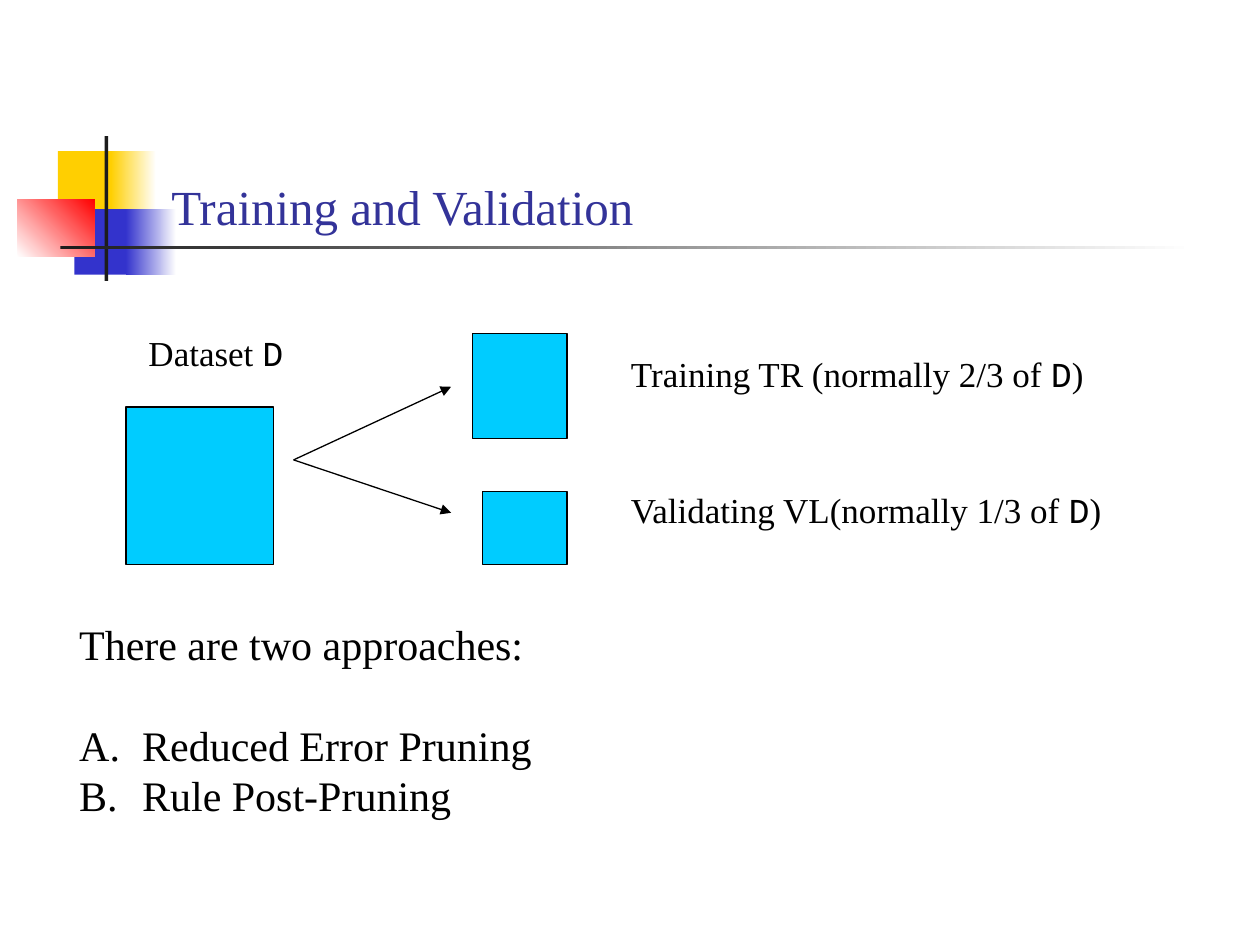
from lxml import etree
from pptx import Presentation, util as u
from pptx.dml.color import RGBColor
from pptx.enum import shapes, text
from pptx.oxml.ns import qn

SERIF, MONO = "Times New Roman", "Courier New"
BLACK, WHITE, DARK = "000000", "FFFFFF", "1C1C1C"
YELLOW, BLUE, RED, CYAN = "FFCF01", "3333CC", "FF0000", "00CCFF"


def color(value):
    """Return the colour for a hex string."""
    return RGBColor.from_string(value)


def inches(*values):
    """Turn numbers into lengths in inches."""
    return [u.Inches(value) for value in values]


def set_attributes(target, values):
    """Set every attribute named in a dict."""
    for name, value in values.items():
        setattr(target, name, value)


def set_outline(line):
    """Give a line the thin black stroke."""
    line.color.rgb = color(BLACK)
    line.width = u.Pt(0.75)


def add_box(slide, box, fill, fill_end=None, angle=0, outlined=False):
    """Add a rectangle with a plain or two-colour gradient fill."""
    shape = slide.shapes.add_shape(shapes.MSO_SHAPE.RECTANGLE, *inches(*box))
    shape.shadow.inherit = False
    if fill_end:
        shape.fill.gradient()
        shape.fill.gradient_angle = angle
        for stop, value in zip(shape.fill.gradient_stops, (fill, fill_end)):
            stop.color.rgb = color(value)
    else:
        shape.fill.solid()
        shape.fill.fore_color.rgb = color(fill)
    if outlined:
        set_outline(shape.line)
    else:
        shape.line.fill.background()


def add_run(paragraph, words, size, font=SERIF, value=BLACK):
    """Add a formatted run to a paragraph."""
    run = paragraph.add_run()
    run.text = words
    set_attributes(run.font, {"size": u.Pt(size), "name": font})
    run.font.color.rgb = color(value)


def add_text_frame(slide, box):
    """Add an unwrapped text box and return its frame."""
    frame = slide.shapes.add_textbox(*inches(*box)).text_frame
    set_attributes(frame, {"word_wrap": False,
                           "auto_size": text.MSO_AUTO_SIZE.SHAPE_TO_FIT_TEXT})
    return frame


def add_label(slide, box, before, after=""):
    """Add a caption around the monospaced dataset symbol."""
    paragraph = add_text_frame(slide, box).paragraphs[0]
    add_run(paragraph, before, 20)
    add_run(paragraph, "D", 20, MONO)
    if after:
        add_run(paragraph, after, 20)


def add_arrow(slide, start, end):
    """Add a thin arrow between two points."""
    arrow = slide.shapes.add_connector(
        shapes.MSO_CONNECTOR.STRAIGHT, *inches(*start, *end))
    set_outline(arrow.line)
    properties = arrow.element.spPr
    etree.SubElement(properties.find(qn("a:ln")), qn("a:tailEnd"), type="triangle")
    etree.SubElement(properties, qn("a:effectLst"))


def add_approaches(slide, box, heading, items):
    """Add a heading and its lettered list."""
    frame = add_text_frame(slide, box)
    add_run(frame.paragraphs[0], heading, 24)
    for index, item in enumerate(items):
        paragraph = frame.add_paragraph()
        add_run(paragraph, item, 24)
        if index == 0:
            paragraph.space_before = u.Inches(0.4)
        properties = paragraph._p.get_or_add_pPr()
        properties.set("marL", str(u.Inches(0.5)))
        properties.set("indent", str(u.Inches(-0.5)))
        etree.SubElement(properties, qn("a:buAutoNum"), type="alphaUcPeriod")


def add_decoration(slide):
    """Add the coloured blocks and rules beside the title."""
    add_box(slide, (0.46, 1.2, 0.48, 0.52), YELLOW)
    add_box(slide, (0.88, 1.2, 0.36, 0.52), YELLOW, WHITE)
    add_box(slide, (0.59, 1.66, 0.46, 0.52), BLUE)
    add_box(slide, (1, 1.66, 0.4, 0.52), BLUE, WHITE)
    add_box(slide, (0.14, 1.58, 0.61, 0.46), WHITE, RED, angle=45)
    add_box(slide, (0.83, 1.08, 0.03, 1.15), DARK)
    add_box(slide, (0.48, 1.95, 9, 0.03), DARK, WHITE)


def format_title(slide, words):
    """Place the title above the rule, in front of the decoration."""
    title = slide.shapes.title
    set_attributes(title, dict(zip(("left", "top", "width", "height"),
                                   inches(1.26, 0.67, 8.52, 1.25))))
    title.text_frame.vertical_anchor = text.MSO_ANCHOR.BOTTOM
    paragraph = title.text_frame.paragraphs[0]
    paragraph.alignment = text.PP_ALIGN.LEFT
    add_run(paragraph, words, 28, value="333399")
    title.element.getparent().append(title.element)


def main():
    """Build and save the slide."""
    presentation = Presentation()
    set_attributes(presentation, {"slide_width": u.Inches(10),
                                  "slide_height": u.Inches(7.5)})
    slide = presentation.slides.add_slide(presentation.slide_layouts[5])
    add_decoration(slide)
    format_title(slide, "Training and Validation")
    add_approaches(slide, (0.53, 4.86, 4.72, 1.7), "There are two approaches:",
                   ("Reduced Error Pruning", "Rule Post-Pruning"))
    for box in ((1, 3.23, 1.17, 1.25), (3.75, 2.65, 0.75, 0.83),
                (3.83, 3.9, 0.67, 0.58)):
        add_box(slide, box, CYAN, outlined=True)
    add_label(slide, (1.08, 2.58, 1.31, 0.44), "Dataset ")
    add_label(slide, (4.91, 2.75, 3.84, 0.44), "Training TR (normally 2/3 of ", ")")
    add_label(slide, (4.91, 3.83, 4, 0.44), "Validating VL(normally 1/3 of ", ")")
    for end_y in (3.07, 4.07):
        add_arrow(slide, (2.33, 3.65), (3.58, end_y))
    presentation.save("out.pptx")


if __name__ == "__main__":
    main()
